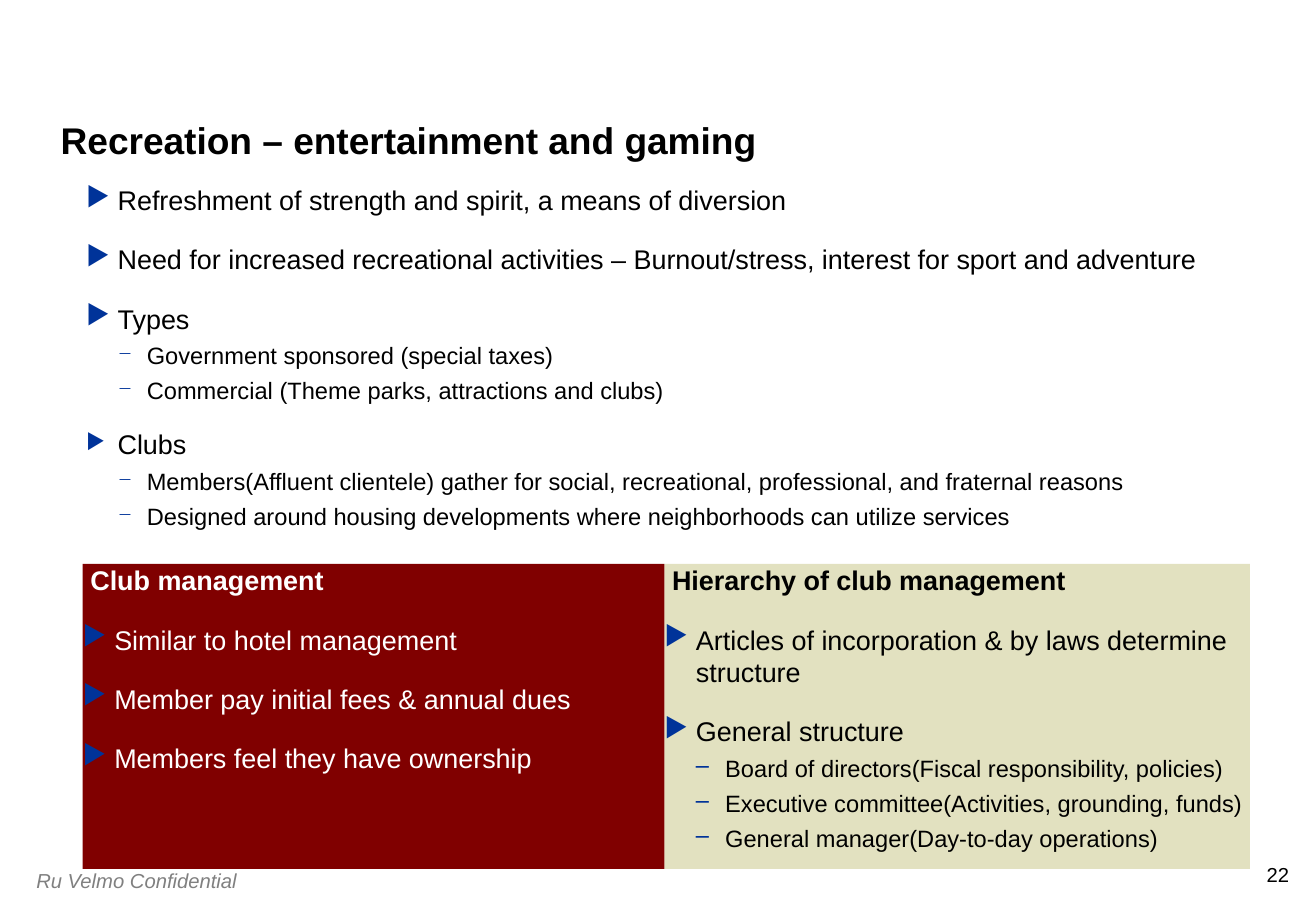
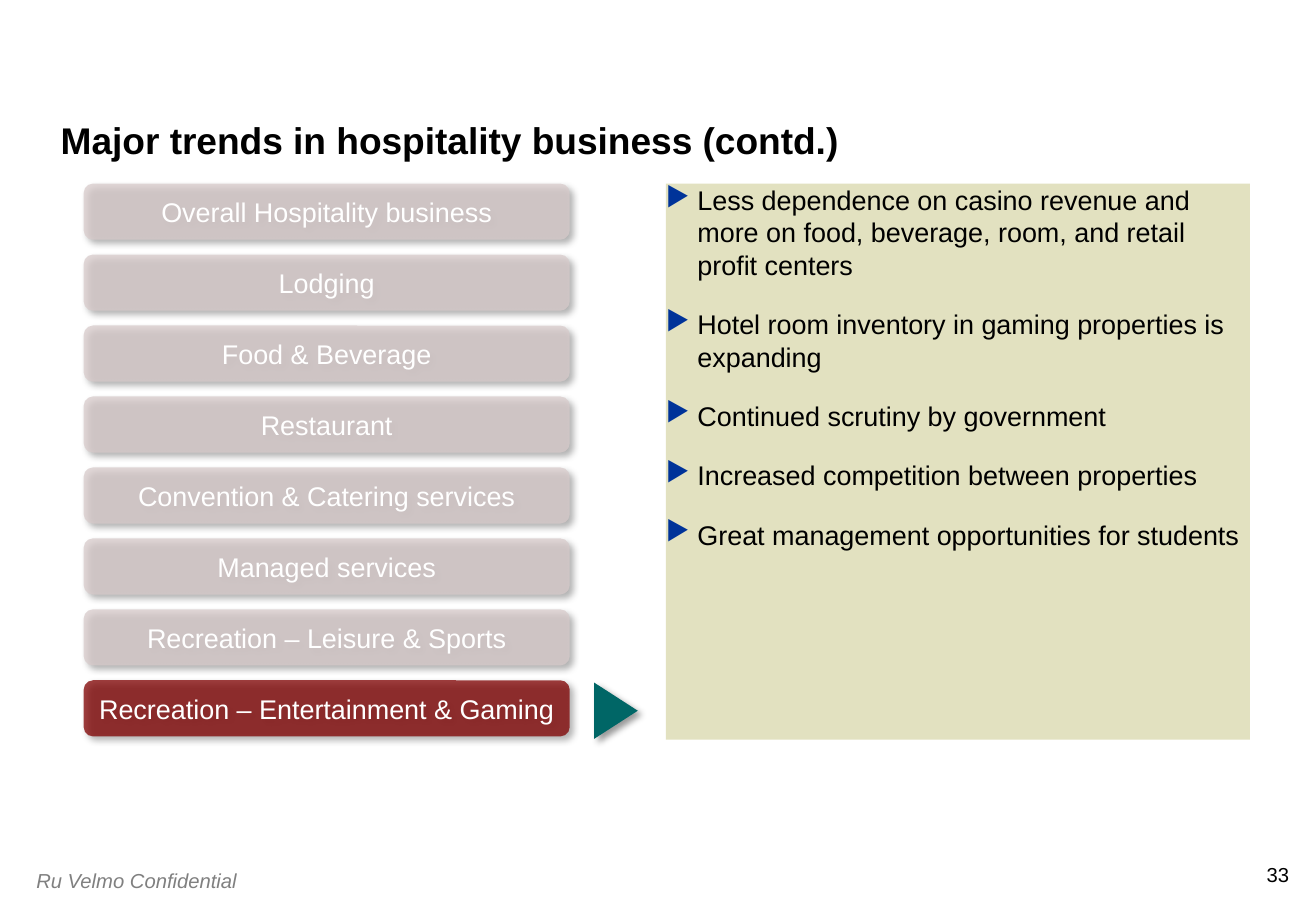
from lxml.etree import SubElement
from pptx import Presentation
from pptx.dml.color import RGBColor
from pptx.enum.shapes import MSO_SHAPE as Shape
from pptx.enum.text import MSO_ANCHOR as Anchor, PP_ALIGN as Align
from pptx.oxml.ns import qn
from pptx.util import Cm, Pt

BLACK = RGBColor(0x00, 0x00, 0x00)
WHITE = RGBColor(0xFF, 0xFF, 0xFF)
GRAY = RGBColor(0x80, 0x80, 0x80)
BLUE = RGBColor(0x00, 0x33, 0x99)
MAROON = RGBColor(0x80, 0x00, 0x00)
SAND = RGBColor(0xE2, 0xE1, 0xC0)
ROSE = RGBColor(0xD8, 0xCB, 0xCB)
TEAL = RGBColor(0x00, 0x66, 0x66)
FONT = "Arial"
FOOTER = "Ru Velmo Confidential"

HEADING = dict(bold=True, margin=Cm(0.16))
POINT = dict(bullet="▶", margin=Cm(0.66), indent=Cm(-0.66), before=16)
DASH = dict(size=14, bullet="–", margin=Cm(1.27), indent=Cm(-0.61), before=5.6, spacing=0.9)
SMALL_DASH = dict(DASH, bullet="−", bullet_size=80)
SMALL_POINT = dict(POINT, bullet_size=80, spacing=0.9)


def add_node(parent, tag, **attributes):
    return SubElement(parent, qn(tag), {key: str(value) for key, value in attributes.items()})


def write(frame, text, size=16, color=BLACK, bold=False, italic=False, align=Align.LEFT,
          before=0, spacing=None, margin=0, indent=0, bullet=None, bullet_size=100):
    paragraph = frame.paragraphs[0]
    if paragraph.runs:
        paragraph = frame.add_paragraph()
    paragraph.alignment = align
    paragraph.space_before = Pt(before)
    paragraph.line_spacing = spacing
    run = paragraph.add_run()
    run.text = text
    font = run.font
    font.name, font.size, font.bold, font.italic = FONT, Pt(size), bold, italic
    font.color.rgb = color
    properties = paragraph._p.get_or_add_pPr()
    properties.set("marL", str(margin))
    properties.set("indent", str(indent))
    if bullet:
        add_node(add_node(properties, "a:buClr"), "a:srgbClr", val=BLUE)
        add_node(properties, "a:buSzPct", val=bullet_size * 1000)
        add_node(properties, "a:buChar", char=bullet)


def set_frame(shape, inset=0, anchor=Anchor.TOP, wrap=True):
    frame = shape.text_frame
    frame.word_wrap = wrap
    frame.vertical_anchor = anchor
    frame.margin_left = frame.margin_right = frame.margin_top = frame.margin_bottom = Cm(inset)
    return frame


def add_text_box(slide, left, top, width, height, **options):
    box = slide.shapes.add_textbox(Cm(left), Cm(top), Cm(width), Cm(height))
    return set_frame(box, **options)


def add_filled_shape(slide, kind, left, top, width, height, fill):
    shape = slide.shapes.add_shape(kind, Cm(left), Cm(top), Cm(width), Cm(height))
    shape.shadow.inherit = False
    shape.fill.solid()
    shape.fill.fore_color.rgb = fill
    shape.line.fill.background()
    return shape


def add_shadow(shape):
    effects = shape._element.spPr.find(qn("a:effectLst"))
    shadow = add_node(effects, "a:outerShdw", blurRad=Pt(4), dist=Pt(3), dir=45 * 60000,
                      algn="tl", rotWithShape=0)
    add_node(add_node(shadow, "a:srgbClr", val=BLACK), "a:alpha", val=40000)


def write_list(frame, entries, color=BLACK):
    for index, (style, text) in enumerate(entries):
        write(frame, text, color=color, **(style if index else dict(style, before=0)))


def add_panel(slide, left, top, width, height, fill, entries, color=BLACK):
    panel = add_filled_shape(slide, Shape.RECTANGLE, left, top, width, height, fill)
    write_list(set_frame(panel), entries, color)


def add_menu(slide, left, top, width, height, labels, gap=0.31):
    button_height = (height - gap * (len(labels) - 1)) / len(labels)
    for index, label in enumerate(labels):
        current = index == len(labels) - 1
        button_top = top + index * (button_height + gap)
        button = add_filled_shape(slide, Shape.ROUNDED_RECTANGLE, left, button_top, width,
                                  button_height, MAROON if current else ROSE)
        add_node(button._element.spPr.find(qn("a:solidFill"))[0], "a:alpha", val=75000)
        add_shadow(button)
        frame = set_frame(button, inset=0.13, anchor=Anchor.MIDDLE, wrap=False)
        write(frame, label, color=WHITE, align=Align.CENTER)
    pointer_height = 0.91
    pointer_top = button_top + (button_height - pointer_height) / 2 + 0.05
    pointer = add_filled_shape(slide, Shape.ISOSCELES_TRIANGLE, left + width + 0.38, pointer_top,
                               button_height, pointer_height, TEAL)
    pointer.rotation = 90
    add_shadow(pointer)


def add_base_slide(presentation, title, number):
    slide = presentation.slides.add_slide(presentation.slide_layouts[6])
    write(add_text_box(slide, 25.4, 18.03, 1.55, 0.51), number, size=12, align=Align.RIGHT)
    footer = add_text_box(slide, 0.76, 18.16, 6, 0.6)
    write(footer, FOOTER, size=12, color=GRAY, italic=True)
    heading = add_text_box(slide, 1.27, 1.07, 24.97, 2.34, anchor=Anchor.BOTTOM)
    write(heading, title, size=22, bold=True, spacing=0.9)
    return slide


def build_recreation(presentation):
    slide = add_base_slide(presentation, "Recreation – entertainment and gaming", "22")
    write_list(add_text_box(slide, 1.8, 3.84, 24.33, 11.63), [
        (POINT, "Refreshment of strength and spirit, a means of diversion"),
        (POINT, "Need for increased recreational activities – Burnout/stress, "
                "interest for sport and adventure"),
        (POINT, "Types"),
        (SMALL_DASH, "Government sponsored (special taxes)"),
        (SMALL_DASH, "Commercial (Theme parks, attractions and clubs)"),
        (SMALL_POINT, "Clubs"),
        (SMALL_DASH, "Members(Affluent clientele) gather for social, recreational, "
                     "professional, and fraternal reasons"),
        (SMALL_DASH, "Designed around housing developments where neighborhoods "
                     "can utilize services"),
    ])
    add_panel(slide, 13.89, 11.79, 12.24, 6.38, SAND, [
        (HEADING, "Hierarchy of club management"),
        (POINT, "Articles of incorporation & by laws determine structure"),
        (POINT, "General structure"),
        (DASH, "Board of directors(Fiscal responsibility, policies)"),
        (DASH, "Executive committee(Activities, grounding, funds)"),
        (DASH, "General manager(Day-to-day operations)"),
    ])
    add_panel(slide, 1.73, 11.79, 12.16, 6.38, MAROON, [
        (HEADING, "Club management"),
        (POINT, "Similar to hotel management"),
        (POINT, "Member pay initial fees & annual dues"),
        (POINT, "Members feel they have ownership"),
    ], color=WHITE)


def build_trends(presentation):
    slide = add_base_slide(presentation, "Major trends in hospitality business (contd.)", "33")
    add_panel(slide, 13.92, 3.84, 12.21, 11.63, SAND, [
        (POINT, "Less dependence on casino revenue and more on food, beverage, room, "
                "and retail profit centers"),
        (POINT, "Hotel room inventory in gaming properties is expanding"),
        (POINT, "Continued scrutiny by government"),
        (POINT, "Increased competition between properties"),
        (POINT, "Great management opportunities for students"),
    ])
    add_menu(slide, 1.75, 3.84, 10.16, 11.56, [
        "Overall Hospitality business", "Lodging", "Food & Beverage", "Restaurant",
        "Convention & Catering services", "Managed services",
        "Recreation – Leisure & Sports", "Recreation – Entertainment & Gaming",
    ])


def main():
    presentation = Presentation()
    presentation.slide_width = Cm(27.51)
    presentation.slide_height = Cm(19.05)
    build_recreation(presentation)
    build_trends(presentation)
    presentation.save("out.pptx")


if __name__ == "__main__":
    main()
